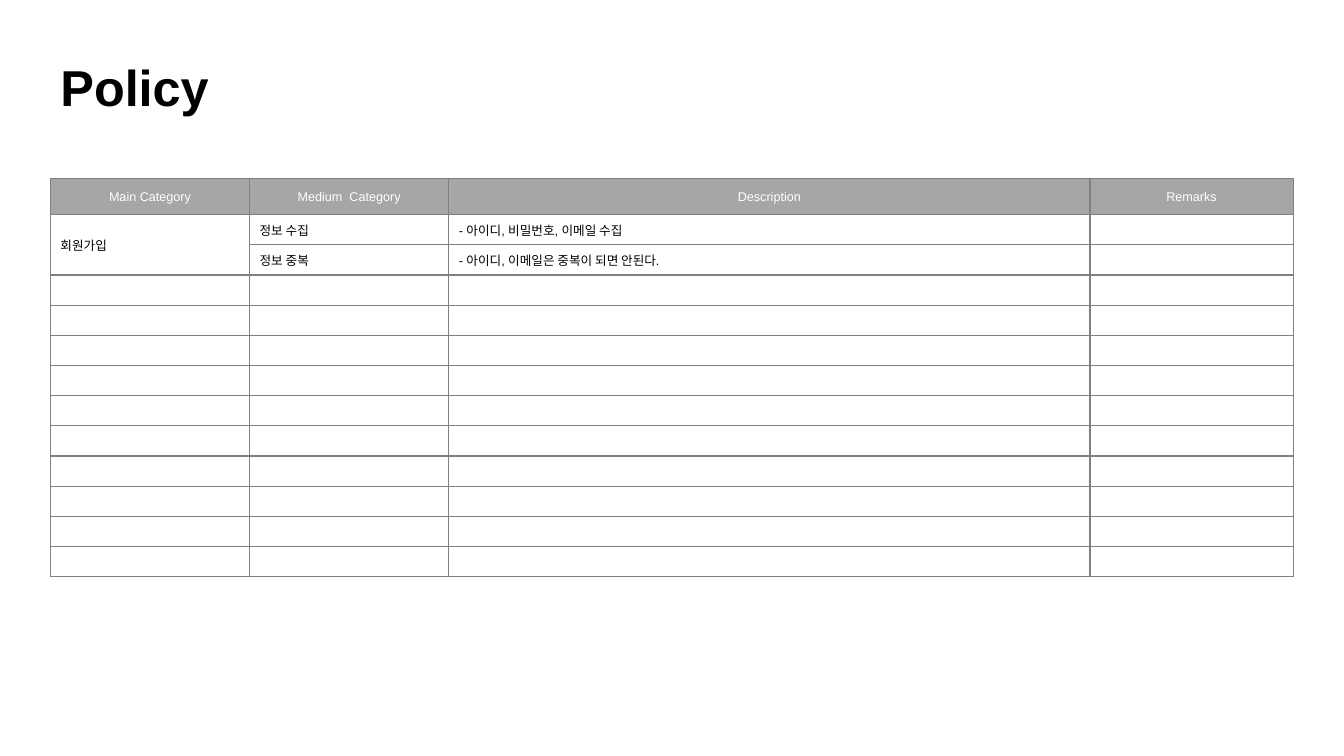
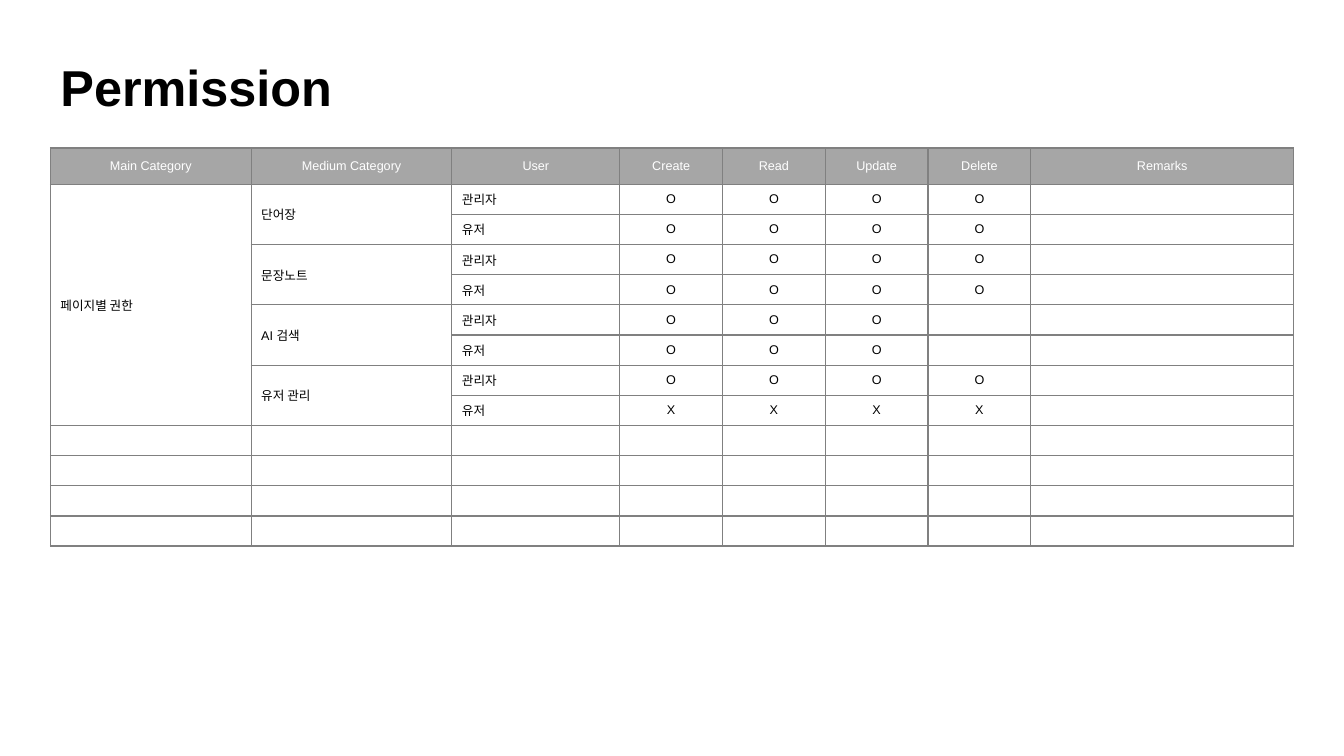
from dataclasses import dataclass

from lxml import etree
from pptx import Presentation
from pptx import util as u
from pptx.dml.color import RGBColor
from pptx.enum import text
from pptx.oxml.ns import qn


@dataclass(frozen=True)
class Theme:
    font: str = "Arial"
    ink: str = "000000"
    paper: str = "FFFFFF"
    header: str = "A6A6A6"
    border: str = "808080"
    title_size: int = 36
    table_size: int = 9
    border_width: int = 1


THEME = Theme()
MARGIN = 1.27
TITLE_HEIGHT = 1.8
HEADER_HEIGHT, ROW_HEIGHT = 0.91, 0.76
BODY_ROWS = 12

# None continues the cell above it.
POLICY = [
    ["회원가입", "정보 수집", "- 아이디, 비밀번호, 이메일 수집", ""],
    [None, "정보 중복", "- 아이디, 이메일은 중복이 되면 안된다.", ""],
]
PAGE_RIGHTS = [
    ("단어장", "OOOO", "OOOO"),
    ("문장노트", "OOOO", "OOOO"),
    ("AI 검색", "OOO ", "OOO "),
    ("유저 관리", "OOOO", "XXXX"),
]


def permission_rows():
    rows = []
    for page, admin, user in PAGE_RIGHTS:
        main = None if rows else "페이지별 권한"
        rows.append([main, page, "관리자", *map(str.strip, admin), ""])
        rows.append([None, None, "유저", *map(str.strip, user), ""])
    return rows


def style_font(font, size, color, bold=False):
    formats = {"name": THEME.font, "size": u.Pt(size), "bold": bold}
    for key, value in formats.items():
        setattr(font, key, value)
    font.color.rgb = RGBColor.from_string(color)


def add_titled_slide(prs, heading, width):
    slide = prs.slides.add_slide(prs.slide_layouts[5])
    title = slide.shapes.title
    box = {"left": MARGIN, "top": MARGIN, "width": width, "height": TITLE_HEIGHT}
    for key, value in box.items():
        setattr(title, key, u.Cm(value))
    frame = title.text_frame
    frame.text = heading
    frame.word_wrap = False
    frame.auto_size = text.MSO_AUTO_SIZE.NONE
    frame.vertical_anchor = text.MSO_ANCHOR.BOTTOM
    line = frame.paragraphs[0]
    line.alignment = text.PP_ALIGN.LEFT
    style_font(line.runs[0].font, THEME.title_size, THEME.ink, bold=True)
    return slide


def add_borders(cell):
    properties = cell._tc.get_or_add_tcPr()
    for side in ("a:lnL", "a:lnR", "a:lnT", "a:lnB"):
        edge = etree.SubElement(properties, qn(side), w=str(u.Pt(THEME.border_width)))
        fill = etree.SubElement(edge, qn("a:solidFill"))
        etree.SubElement(fill, qn("a:srgbClr"), val=THEME.border)


def fill_cell(cell, words, fill, color, centered):
    add_borders(cell)
    cell.fill.solid()
    cell.fill.fore_color.rgb = RGBColor.from_string(fill)
    cell.vertical_anchor = text.MSO_ANCHOR.MIDDLE
    line = cell.text_frame.paragraphs[0]
    line.alignment = text.PP_ALIGN.CENTER if centered else text.PP_ALIGN.LEFT
    if words:
        run = line.add_run()
        run.text = words
        style_font(run.font, THEME.table_size, color)
    else:
        # An empty cell needs a small end mark, or its row grows.
        etree.SubElement(line._p, qn("a:endParaRPr"), sz=str(THEME.table_size * 100))


def merge_continued(table, body):
    for col in range(len(table.columns)):
        start = 0
        for row, values in enumerate(body):
            if values[col] is not None:
                start = row
            elif row + 1 == len(body) or body[row + 1][col] is not None:
                table.cell(start + 1, col).merge(table.cell(row + 1, col))


def add_grid(slide, top, columns, body, centered=()):
    """Draw a header and body table; columns pairs each heading with its width."""
    body = body + [[""] * len(columns)] * (BODY_ROWS - len(body))
    heights = [HEADER_HEIGHT] + [ROW_HEIGHT] * BODY_ROWS
    width = sum(size for _, size in columns)
    table = slide.shapes.add_table(
        len(heights), len(columns),
        u.Cm(MARGIN), u.Cm(top), u.Cm(width), u.Cm(sum(heights)),
    ).table
    table.horz_banding = False
    for row, height in zip(table.rows, heights):
        row.height = u.Cm(height)
    for col, (heading, size) in enumerate(columns):
        table.columns[col].width = u.Cm(size)
        fill_cell(table.cell(0, col), heading, THEME.header, THEME.paper, True)
        for row, values in enumerate(body, start=1):
            fill_cell(table.cell(row, col), values[col], THEME.paper, THEME.ink,
                      col in centered)
    merge_continued(table, body)


def main():
    prs = Presentation()
    prs.slide_width, prs.slide_height = u.Cm(33.87), u.Cm(19.05)

    policy = add_titled_slide(prs, "Policy", 4.29)
    add_grid(policy, 4.5, [
        ("Main Category", 5.02), ("Medium  Category", 5.02),
        ("Description", 16.16), ("Remarks", 5.12),
    ], POLICY)

    permission = add_titled_slide(prs, "Permission", 7.42)
    actions = [(action, 2.59) for action in ("Create", "Read", "Update", "Delete")]
    add_grid(permission, 3.73, [
        ("Main Category", 5.06), ("Medium Category", 5.06), ("User", 4.23),
        *actions, ("Remarks", 6.62),
    ], permission_rows(), centered=range(3, 7))

    prs.save("out.pptx")


if __name__ == "__main__":
    main()
